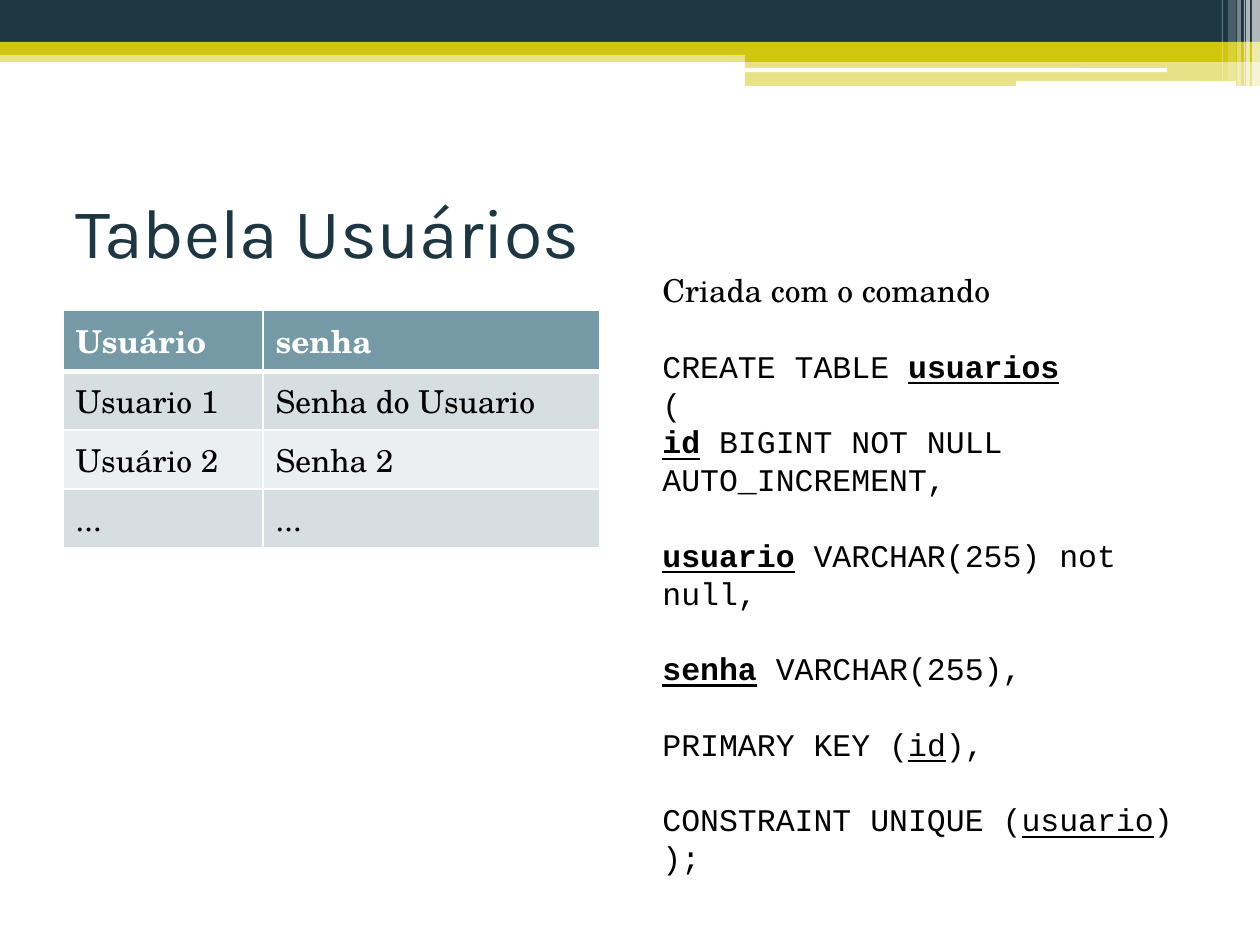
from pptx import Presentation
from pptx.dml.color import RGBColor
from pptx.enum.shapes import MSO_SHAPE
from pptx.enum.text import MSO_ANCHOR, MSO_AUTO_SIZE, PP_ALIGN
from pptx.util import Emu, Pt
from pptx.oxml import parse_xml
from pptx.oxml.ns import nsdecls
from lxml import etree

RECT, ROUND = MSO_SHAPE.RECTANGLE, MSO_SHAPE.ROUNDED_RECTANGLE
MIDDLE, LEFT = MSO_ANCHOR.MIDDLE, PP_ALIGN.LEFT
NO_FIT, GROW = MSO_AUTO_SIZE.NONE, MSO_AUTO_SIZE.SHAPE_TO_FIT_TEXT
PX = 914400 // 126


class Theme:
    navy, gold, white, black = "1D3641", "CFC60D", "FFFFFF", "000000"
    header, bands = "759AA5", ("D6DEE1", "ECEFF0")
    heading, body, code = "Karla", "TeX Gyre Schola", "Courier New"
    title_size, body_size, gap = 40, 18, 21.6


def px(*lengths):
    return [Emu(n * PX) for n in lengths]


class Slide:
    def __init__(self, prs, theme):
        self.t = theme
        self.s = prs.slides.add_slide(prs.slide_layouts[5])

    def run(self, p, text, font, color, size=None, **style):
        r = p.add_run()
        r.text = text
        r.font.color.rgb = RGBColor.from_string(color)
        values = {"name": font, "size": Pt(size or self.t.body_size), **style}
        for key, value in values.items():
            setattr(r.font, key, value)

    def bar(self, box, color, opacity=100, kind=RECT):
        sp = self.s.shapes.add_shape(kind, *px(*box))
        sp.shadow.inherit = False
        sp.fill.solid()
        sp.fill.fore_color.rgb = RGBColor.from_string(color)
        sp.line.fill.background()
        if opacity < 100:
            clr = sp.fill._xPr.find(".//{*}srgbClr")
            etree.SubElement(clr, clr.tag.replace("srgbClr", "alpha"), val=str(opacity * 1000))

    def title(self, box, text):
        sp = self.s.shapes.title
        sp.left, sp.top, sp.width, sp.height = px(*box)
        tf = sp.text_frame
        for key, value in {"vertical_anchor": MIDDLE, "auto_size": NO_FIT, "word_wrap": True}.items():
            setattr(tf, key, value)
        p = tf.paragraphs[0]
        p.alignment = LEFT
        self.run(p, text, self.t.heading, self.t.navy, self.t.title_size)

    def text(self, box, paragraphs):
        tf = self.s.shapes.add_textbox(*px(*box)).text_frame
        tf.word_wrap, tf.auto_size = True, GROW
        for i, (font, spaced, runs) in enumerate(paragraphs):
            p = tf.add_paragraph() if i else tf.paragraphs[0]
            p.space_before = Pt(self.t.gap if spaced else 0)
            for text, style in runs:
                self.run(p, text, font, self.t.black, **style)

    def cell(self, cell, text, fill, color, bold, bottom):
        tcPr = cell._tc.get_or_add_tcPr()
        for i, (side, width) in enumerate({"L": 1, "R": 1, "T": 1, "B": bottom}.items()):
            tcPr.insert(i, parse_xml(
                f'<a:ln{side} {nsdecls("a")} w="{Pt(width)}"><a:solidFill>'
                f'<a:srgbClr val="{self.t.white}"/></a:solidFill></a:ln{side}>'))
        cell.fill.solid()
        cell.fill.fore_color.rgb = RGBColor.from_string(fill)
        self.run(cell.text_frame.paragraphs[0], text, self.t.body, color, bold=bold)

    def table(self, left, top, widths, row_height, rows):
        box = px(left, top, sum(widths), row_height * len(rows))
        tbl = self.s.shapes.add_table(len(rows), len(widths), *box).table
        for col, width in zip(tbl.columns, px(*widths)):
            col.width = width
        for i, row in enumerate(rows):
            head = i == 0
            fill = self.t.header if head else self.t.bands[(i - 1) % 2]
            color = self.t.white if head else self.t.black
            for j, text in enumerate(row):
                # The heavy header rule is shared with the row below
                self.cell(tbl.cell(i, j), text, fill, color, head, 3 if head else 1)


prs = Presentation()
prs.slide_width, prs.slide_height = px(1260, 945)
t = Theme()
slide = Slide(prs, t)

# Top bands
for box, color, opacity in [
    ((0, 50, 1260, 12), t.gold, 50),
    ((0, 0, 1260, 43), t.navy, 100),
    ((0, 42, 1260, 13), t.gold, 100),
    ((745, 49, 515, 13), t.gold, 100),
    ((745, 61, 515, 25), t.gold, 50),
]:
    slide.bar(box, color, opacity)

# White slots in the bands
for box in [(745, 68, 422, 4), (1016, 81, 220, 5)]:
    slide.bar(box, t.white, kind=ROUND)

# Translucent stripes at the right edge
for left, width, height, opacity in [
    (1252, 8, 86, 65), (1246, 4, 86, 65), (1244, 1, 86, 60),
    (1237, 4, 86, 40), (1228, 8, 81, 20), (1222, 1, 81, 30),
]:
    slide.bar((left, 0, width, height), t.white, opacity)

# Title and table
slide.title((63, 157, 1134, 147), "Tabela Usuários")
slide.table(63, 310, (200, 337), 51, [
    ("Usuário", "senha"),
    ("Usuario 1", "Senha do Usuario"),
    ("Usuário 2", "Senha 2"),
    ("...", "..."),
])

# SQL command: font, gap above, runs
plain, under = {}, {"underline": True}
name = {"bold": True, "underline": True}
slide.text((650, 265, 536, 624), [
    (t.body, False, [("Criada com o comando", plain)]),
    (t.code, True, [("CREATE TABLE ", plain), ("usuarios", name)]),
    (t.code, False, [("(", plain)]),
    (t.code, False, [("id", name), (" BIGINT NOT NULL AUTO_INCREMENT,", plain)]),
    (t.code, True, [("usuario", name), (" VARCHAR(255) not null,", plain)]),
    (t.code, True, [("senha", name), (" VARCHAR(255),", plain)]),
    (t.code, True, [("PRIMARY KEY (", plain), ("id", under), ("),", plain)]),
    (t.code, True, [("CONSTRAINT UNIQUE (", plain), ("usuario", under), (")", plain)]),
    (t.code, False, [(");", plain)]),
])

prs.save("out.pptx")
